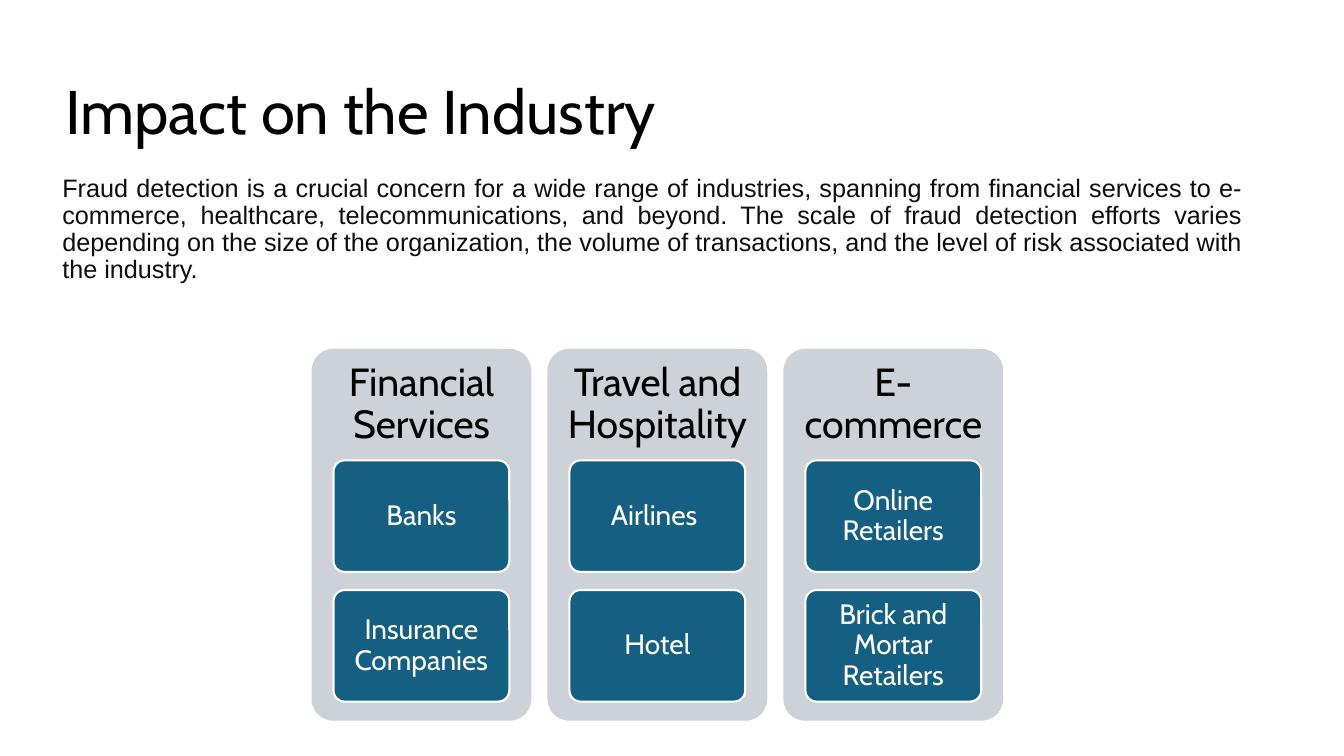
import pptx
import pptx.dml.color
import pptx.enum.shapes
import pptx.enum.text
import pptx.util

Inches = pptx.util.Inches
Pt = pptx.util.Pt
ALIGN = pptx.enum.text.PP_ALIGN
ANCHOR = pptx.enum.text.MSO_ANCHOR

TITLE = "Impact on the Industry"
SUMMARY = (
    "Fraud detection is a crucial concern for a wide range of industries, "
    "spanning from financial services to e-commerce, healthcare, "
    "telecommunications, and beyond. The scale of fraud detection efforts "
    "varies depending on the size of the organization, the volume of "
    "transactions, and the level of risk associated with the industry."
)
INDUSTRIES = {
    "Financial Services": ["Banks", "Insurance Companies"],
    "Travel and Hospitality": ["Airlines ", "Hotel"],
    "E-commerce": ["Online Retailers", "Brick and Mortar Retailers"],
}


def color(hex_string):
    return pptx.dml.color.RGBColor.from_string(hex_string)


def write(shape, text, size, ink, font="Cabin", align=ALIGN.CENTER,
          anchor=ANCHOR.MIDDLE, margins=(0.1, 0.05), space_before=0):
    """Put one paragraph into a shape; margins are (sides, top and bottom)."""
    side, end = map(Inches, margins)
    frame = shape.text_frame
    paragraph = frame.paragraphs[0]
    run = paragraph.add_run()
    run.text = text
    run.font.color.rgb = color(ink)
    formats = [
        (frame, {"word_wrap": True, "vertical_anchor": anchor,
                 "margin_left": side, "margin_right": side,
                 "margin_top": end, "margin_bottom": end}),
        (paragraph, {"alignment": align, "line_spacing": 0.9,
                     "space_before": Pt(space_before)}),
        (run.font, {"name": font, "size": Pt(size)}),
    ]
    for target, values in formats:
        for attribute, value in values.items():
            setattr(target, attribute, value)


def add_text(slide, box, text, size, ink, **options):
    write(slide.shapes.add_textbox(*map(Inches, box)), text, size, ink, **options)


def add_panel(slide, box, fill, outline=None):
    panel = slide.shapes.add_shape(
        pptx.enum.shapes.MSO_SHAPE.ROUNDED_RECTANGLE, *map(Inches, box))
    panel.adjustments[0] = 0.1
    panel.shadow.inherit = False
    panel.fill.solid()
    panel.fill.fore_color.rgb = color(fill)
    if outline:
        panel.line.color.rgb = color(outline)
        panel.line.width = Pt(1.5)
    else:
        panel.line.fill.background()
    return panel


def add_industry(slide, box, industry, businesses):
    """Grey column with a heading and a stack of business tiles."""
    left, top, width, height = box
    add_panel(slide, box, "CCD2D8")
    heading_height = 0.3 * height
    add_text(slide, (left, top, width, heading_height), industry, 28, "000000",
             margins=(0.12, 0.12))

    tile_width, tile_height, gap = 0.8 * width, 0.3 * height, 0.18
    for row, business in enumerate(businesses):
        tile_top = top + heading_height + row * (tile_height + gap)
        tile = add_panel(
            slide, (left + 0.1 * width, tile_top, tile_width, tile_height),
            "156082", outline="FFFFFF")
        write(tile, business, 20, "FFFFFF", margins=(0.06, 0.04))


def add_industries(slide, box):
    left, top, width, height = box
    gap = 0.16
    column_width = (width - gap * (len(INDUSTRIES) - 1)) / len(INDUSTRIES)
    for column, (industry, businesses) in enumerate(INDUSTRIES.items()):
        column_left = left + column * (column_width + gap)
        add_industry(slide, (column_left, top, column_width, height),
                     industry, businesses)


def main():
    deck = pptx.Presentation()
    deck.slide_width, deck.slide_height = Inches(13.33), Inches(7.5)
    slide = deck.slides.add_slide(deck.slide_layouts[6])
    add_text(slide, (0.55, 0.4, 11.86, 1.47), TITLE, 44, "000000",
             align=ALIGN.LEFT)
    add_text(slide, (0.52, 1.69, 11.9, 5.07), SUMMARY, 18, "0D0D0D",
             font="Arial", align=ALIGN.JUSTIFY, anchor=ANCHOR.TOP,
             space_before=10)
    add_industries(slide, (3.09, 3.46, 6.86, 3.69))
    deck.save("out.pptx")


if __name__ == "__main__":
    main()
